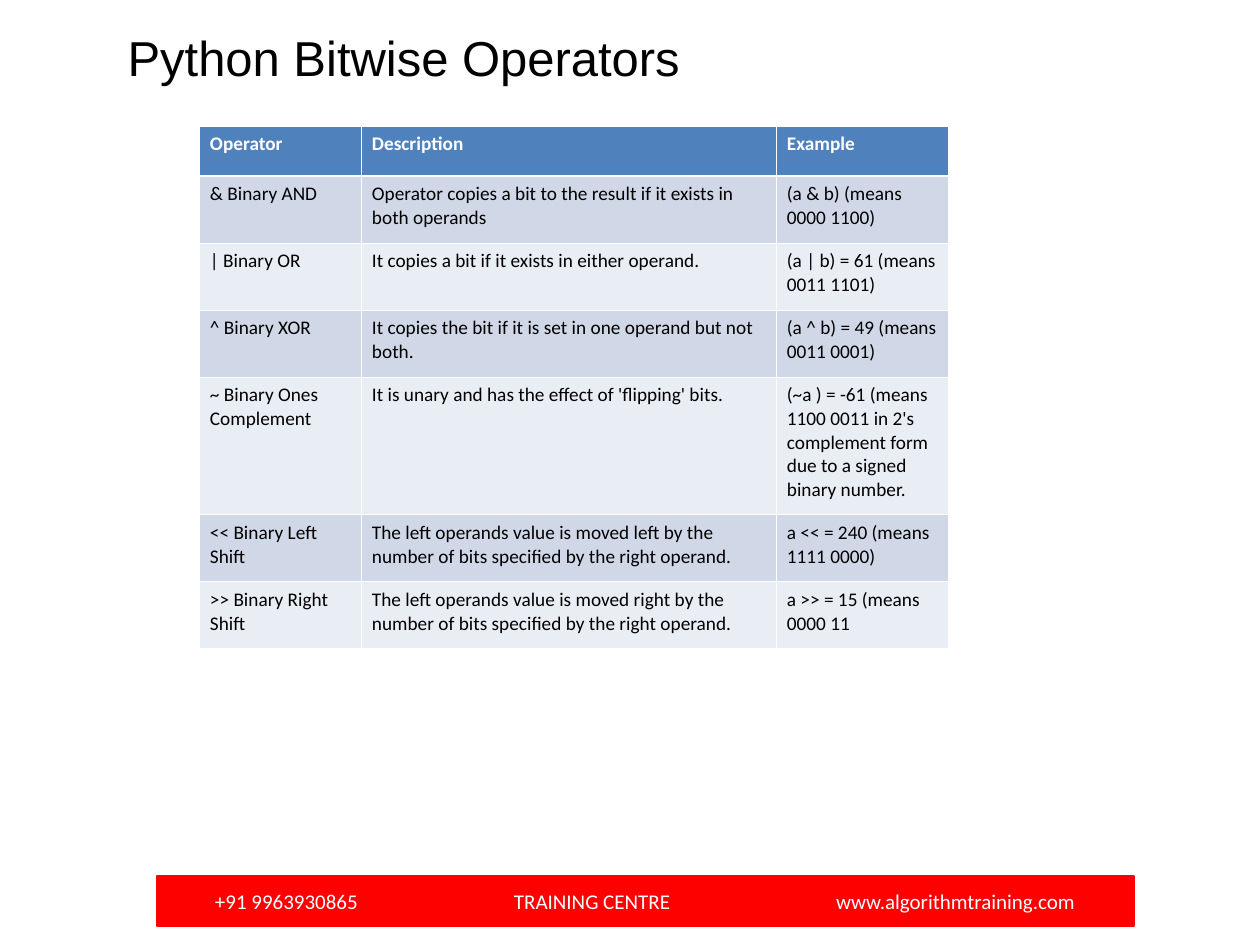
"""Build a slide with a table of Python bitwise operators."""
from lxml import etree
from pptx import Presentation
from pptx.dml.color import RGBColor
from pptx.enum.shapes import MSO_SHAPE
from pptx.enum.text import MSO_ANCHOR, MSO_AUTO_SIZE, PP_ALIGN
from pptx.oxml.ns import qn
from pptx.util import Emu, Pt

RECT = MSO_SHAPE.RECTANGLE
TOP, MIDDLE = MSO_ANCHOR.TOP, MSO_ANCHOR.MIDDLE
LEFT = PP_ALIGN.LEFT
NO_FIT = MSO_AUTO_SIZE.NONE

TITLE = "Python Bitwise Operators"
ROWS = [
    ("Operator", "Description", "Example"),
    ("& Binary AND",
     "Operator copies a bit to the result if it exists in both operands",
     "(a & b) (means 0000 1100)"),
    ("| Binary OR",
     "It copies a bit if it exists in either operand.",
     "(a | b) = 61 (means 0011 1101)"),
    ("^ Binary XOR",
     "It copies the bit if it is set in one operand but not both.",
     "(a ^ b) = 49 (means 0011 0001)"),
    ("~ Binary Ones Complement",
     "It is unary and has the effect of 'flipping' bits.",
     "(~a ) = -61 (means 1100 0011 in 2's complement form "
     "due to a signed binary number."),
    ("<< Binary Left Shift",
     "The left operands value is moved left by the number of bits "
     "specified by the right operand.",
     "a << = 240 (means 1111 0000)"),
    (">> Binary Right Shift",
     "The left operands value is moved right by the number of bits "
     "specified by the right operand.",
     "a >> = 15 (means 0000 11"),
]
FOOTER = ["+91 9963930865", "TRAINING CENTRE", "www.algorithmtraining.com"]

TITLE_BOX = (115, 21, 945, 72)
TABLE_AT = (199, 126)
COL_WIDTHS = [162, 415, 172]
ROW_HEIGHTS = [50, 67, 67, 67, 138, 67, 67]
CELL_LEFT, CELL_RIGHT = 11, 10
FOOTER_BOX = (157, 876, 977, 50)
FOOTER_STARTS = [215, 514, 836]

HEADER, BANDS = "4F81BD", ("E9EDF4", "D0D8E8")
WHITE, BLACK, RED = "FFFFFF", "000000", "FD0000"
THIN, THICK = 0.45, 1.47


def px(n):
    return Emu(round(n * 914400 / 126))


def rgb(value):
    return RGBColor.from_string(value)


def paint(obj, color):
    obj.fill.solid()
    obj.fill.fore_color.rgb = rgb(color)


def add_run(p, text, size, font, color, bold=False):
    r = p.add_run()
    r.text = text
    r.font.size, r.font.name, r.font.bold = Pt(size), font, bold
    r.font.color.rgb = rgb(color)


def add_borders(cell, top, bottom):
    tc_pr = cell._tc.get_or_add_tcPr()
    for side, width in (("L", THIN), ("R", THIN), ("T", top), ("B", bottom)):
        ln = etree.SubElement(tc_pr, qn(f"a:ln{side}"), w=str(Pt(width)))
        fill = etree.SubElement(ln, qn("a:solidFill"))
        etree.SubElement(fill, qn("a:srgbClr"), val=WHITE)


def add_title(s):
    sp = s.shapes.title
    sp.left, sp.top, sp.width, sp.height = map(px, TITLE_BOX)
    tf = sp.text_frame
    tf.auto_size, tf.word_wrap, tf.vertical_anchor = NO_FIT, True, TOP
    p = tf.paragraphs[0]
    p.alignment = LEFT
    add_run(p, TITLE, 28, "Arial", BLACK)


def add_operator_table(s):
    box = (*TABLE_AT, sum(COL_WIDTHS), sum(ROW_HEIGHTS))
    table = s.shapes.add_table(len(ROWS), len(COL_WIDTHS), *map(px, box)).table
    for col, width in zip(table.columns, COL_WIDTHS):
        col.width = px(width)
    for i, (row, height, texts) in enumerate(zip(table.rows, ROW_HEIGHTS, ROWS)):
        row.height = px(height)
        head = i == 0
        for cell, text in zip(row.cells, texts):
            cell.margin_left, cell.margin_right = px(CELL_LEFT), px(CELL_RIGHT)
            add_borders(cell, THICK if i == 1 else THIN, THICK if head else THIN)
            paint(cell, HEADER if head else BANDS[i % 2])
            p = cell.text_frame.paragraphs[0]
            add_run(p, text, 11, "Calibri", WHITE if head else BLACK, head)


def add_footer(s):
    sp = s.shapes.add_shape(RECT, *map(px, FOOTER_BOX))
    sp.shadow.inherit = False
    paint(sp, RED)
    sp.line.color.rgb = rgb(RED)
    sp.line.width = Pt(0.75)
    tf = sp.text_frame
    tf.word_wrap, tf.vertical_anchor = True, MIDDLE
    start = FOOTER_STARTS[0]
    tf.margin_left = px(start - FOOTER_BOX[0])
    p = tf.paragraphs[0]
    p.alignment = LEFT
    tabs = etree.SubElement(p._p.get_or_add_pPr(), qn("a:tabLst"))
    for x in FOOTER_STARTS[1:]:
        etree.SubElement(tabs, qn("a:tab"), pos=str(px(x - start)), algn="l")
    add_run(p, "\t".join(FOOTER), 12, "Calibri", WHITE)


def main():
    prs = Presentation()
    prs.slide_width, prs.slide_height = px(1260), px(945)
    s = prs.slides.add_slide(prs.slide_layouts[5])
    add_title(s)
    add_footer(s)
    add_operator_table(s)
    prs.save("out.pptx")


if __name__ == "__main__":
    main()
